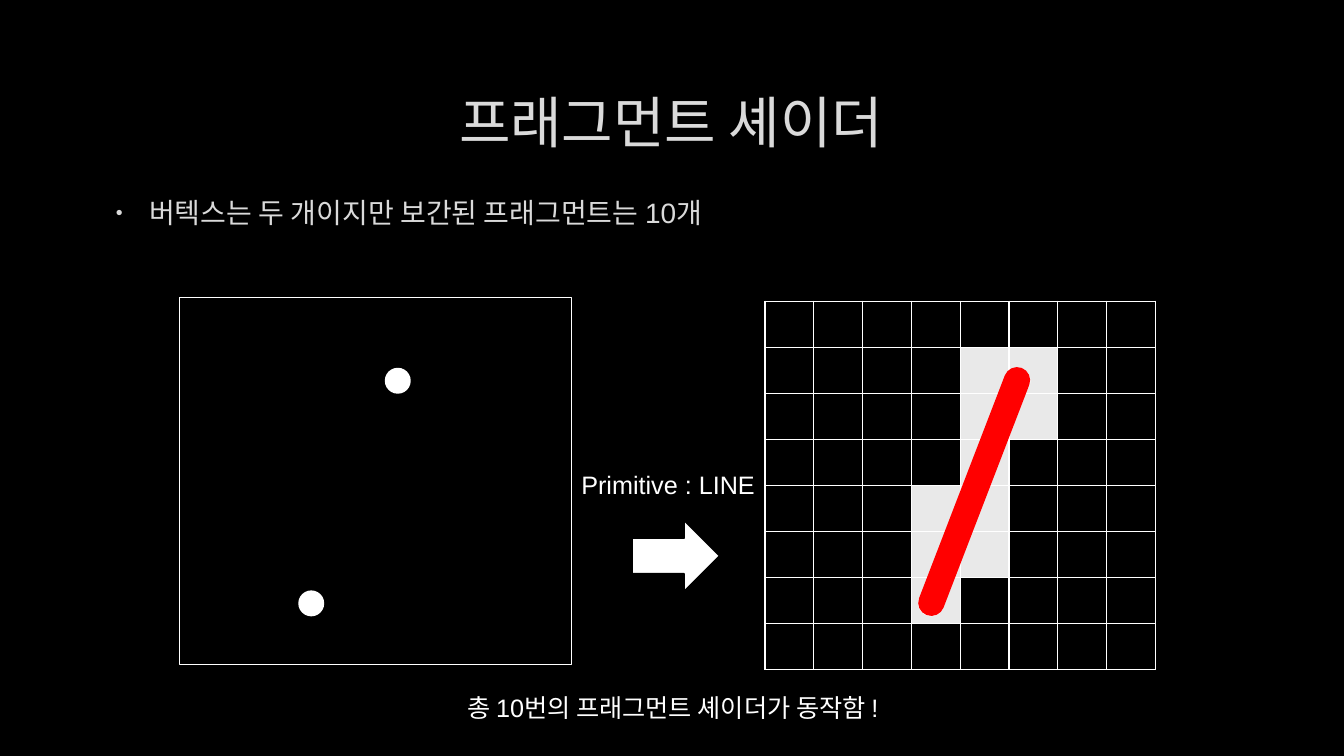
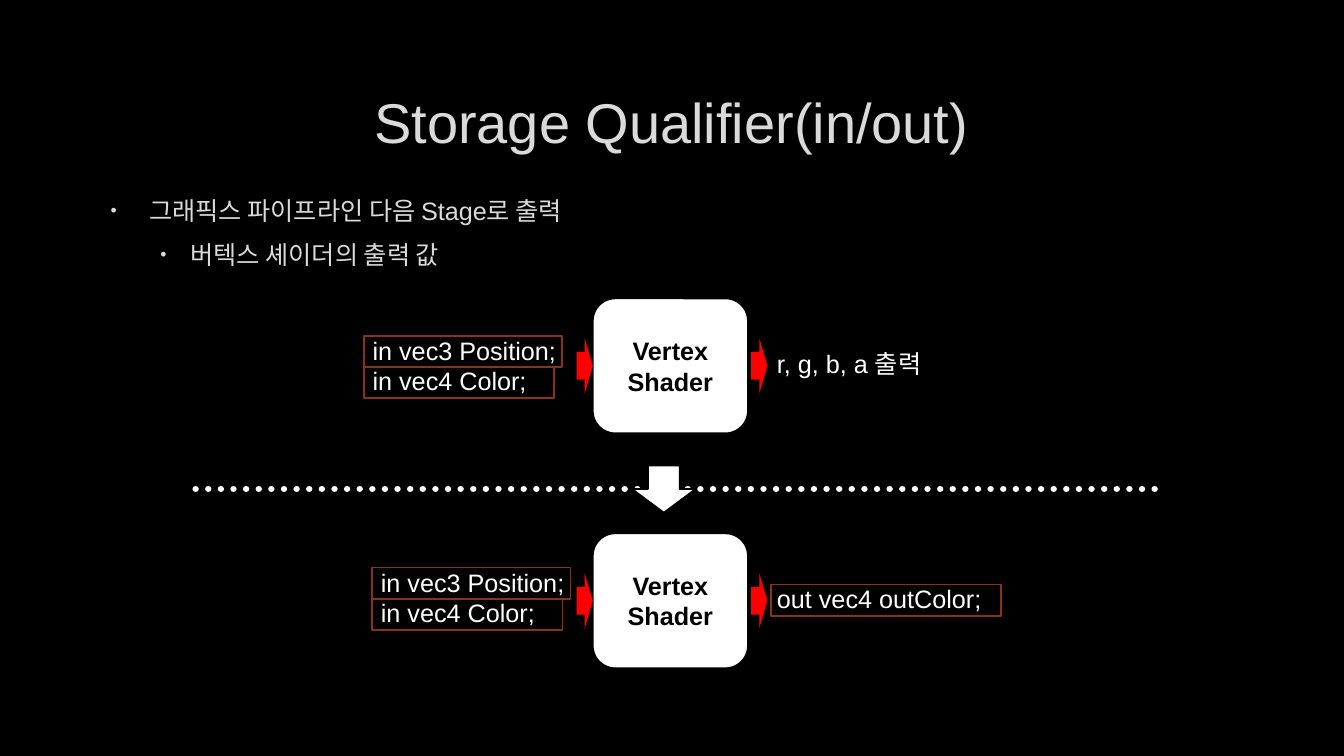
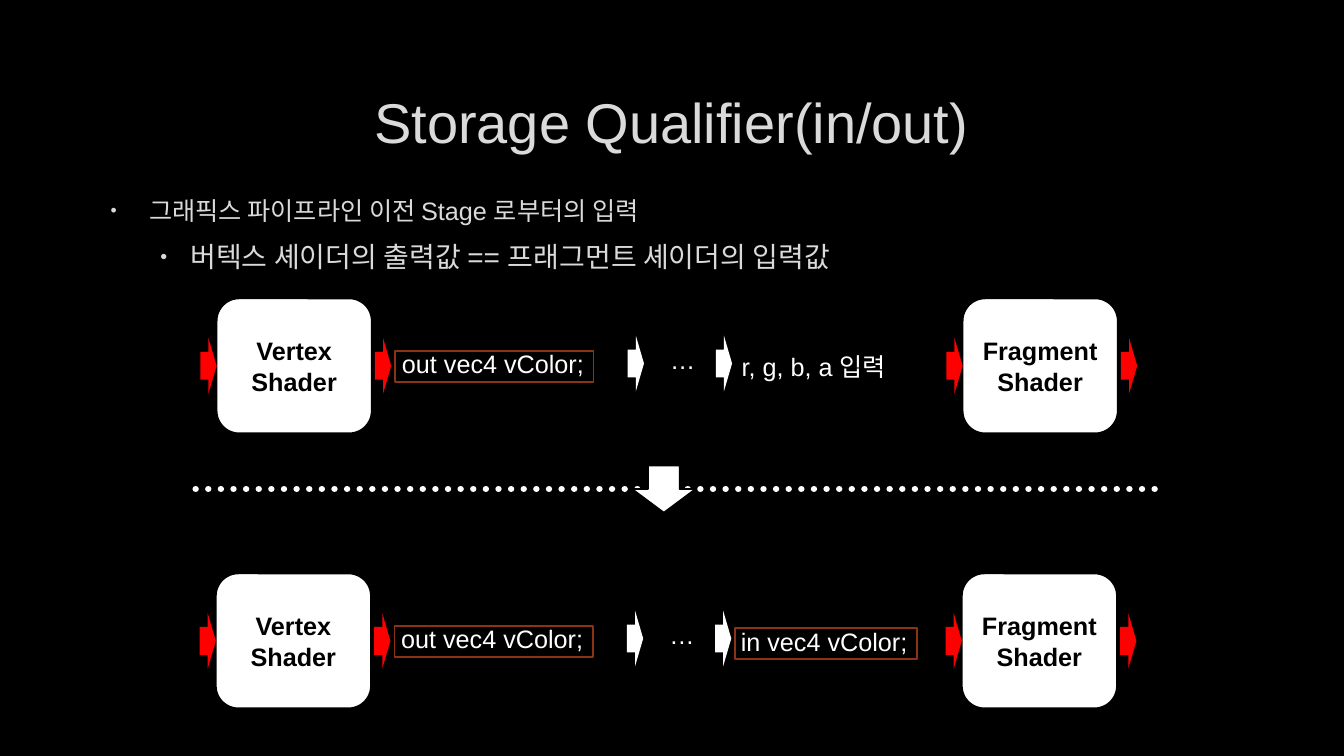
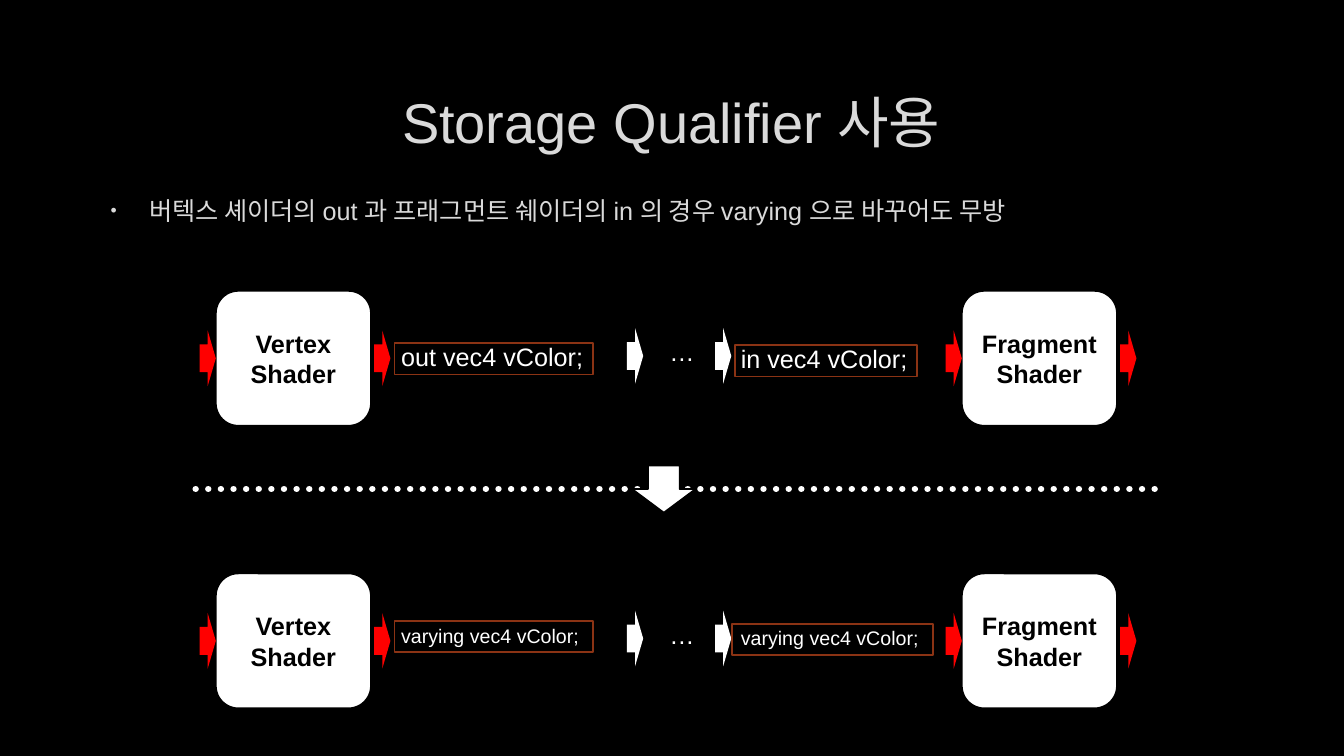
from lxml import etree
from pptx import Presentation
from pptx import util as u
from pptx.dml import color as clr
from pptx.enum import dml, shapes, text
from pptx.oxml import ns

FONT = "Arial"
BLACK, WHITE, SOFT, CELL, RED, RUST = "000000", "FFFFFF", "DADADA", "E9E9E9", "FF0000", "8B3314"
FRAME_H, LINE_H = 0.79, 1.02
LEVELS = {"item": (0.97, -0.84), "wide": (0.97, -0.97), "sub": (2.01, -0.76)}
SHAPE = shapes.MSO_SHAPE


def rgb(value):
    return clr.RGBColor.from_string(value)


def child(parent, tag, **attrs):
    return etree.SubElement(parent, ns.qn(tag), attrs)


def write(tf, words, size=18, color=WHITE, bold=False, align=text.PP_ALIGN.LEFT, level=None):
    p = tf.paragraphs[0] if not tf.text else tf.add_paragraph()
    p.alignment = align
    r = p.add_run()
    r.text = words
    r.font.name, r.font.size, r.font.bold = FONT, u.Pt(size), bold
    r.font.color.rgb = rgb(color)
    if level:
        p.space_before, p.space_after = u.Pt(size * 0.2), u.Pt(6)
        margin, indent = LEVELS[level]
        pPr = p._p.get_or_add_pPr()
        pPr.set("marL", str(u.Cm(margin)))
        pPr.set("indent", str(u.Cm(indent)))
        child(child(pPr, "a:buClr"), "a:srgbClr", val=SOFT)
        child(pPr, "a:buSzPct", val="70000")
        child(pPr, "a:buFont", typeface=FONT)
        child(pPr, "a:buChar", char="•")


class Deck:
    """Holds the shared style and the slide being built."""

    def __init__(self):
        self.prs = Presentation()
        self.prs.slide_width, self.prs.slide_height = u.Cm(33.87), u.Cm(19.05)
        fill = self.prs.slide_master.background.fill
        fill.solid()
        fill.fore_color.rgb = rgb(BLACK)
        self.s = None

    def slide(self, title, *items):
        self.s = self.prs.slides.add_slide(self.prs.slide_layouts[6])
        tf = self.box(2.54, 1.7, 28.75, 2.69)
        tf.vertical_anchor = text.MSO_ANCHOR.MIDDLE
        write(tf, title, size=40, color=SOFT, align=text.PP_ALIGN.CENTER)
        tf = self.box(2.54, 4.8, 28.75, 11.28)
        for words, size, level in items:
            write(tf, words, size=size, color=SOFT, level=level)

    def box(self, x, y, w, h, on=None):
        sp = (on or self.s.shapes).add_textbox(u.Cm(x), u.Cm(y), u.Cm(w), u.Cm(h))
        sp.text_frame.word_wrap = True
        return sp.text_frame

    def label(self, x, y, w, *lines, size=18, on=None):
        tf = self.box(x, y, w, LINE_H * len(lines), on)
        tf.auto_size = text.MSO_AUTO_SIZE.SHAPE_TO_FIT_TEXT
        for words in lines:
            write(tf, words, size=size)

    def shape(self, kind, x, y, w, h, fill=None, line=None, width=1.25, on=None):
        sp = (on or self.s.shapes).add_shape(kind, u.Cm(x), u.Cm(y), u.Cm(w), u.Cm(h))
        sp.shadow.inherit = False
        if fill:
            sp.fill.solid()
            sp.fill.fore_color.rgb = rgb(fill)
        else:
            sp.fill.background()
        if line:
            sp.line.color.rgb = rgb(line)
            sp.line.width = u.Pt(width)
        else:
            sp.line.fill.background()
        return sp

    def frame(self, x, y, w, on=None):
        self.shape(SHAPE.RECTANGLE, x, y, w, FRAME_H, line=RUST, on=on)

    def arrow(self, x, y, fill, on=None):
        self.shape(SHAPE.RIGHT_ARROW, x, y, 0.41, 1.4, fill=fill, on=on)

    def line(self, x1, y1, x2, y2, color, width, dash=None):
        c = self.s.shapes.add_connector(shapes.MSO_CONNECTOR.STRAIGHT,
                                        u.Cm(x1), u.Cm(y1), u.Cm(x2), u.Cm(y2))
        c.line.color.rgb = rgb(color)
        c.line.width = u.Pt(width)
        if dash:
            c.line.dash_style = dash
        c.line._get_or_add_ln().set("cap", "rnd")
        child(c.element.spPr, "a:effectLst")

    def divider(self):
        self.line(4.93, 12.32, 29.13, 12.32, WHITE, 4.5, dml.MSO_LINE.ROUND_DOT)
        self.shape(SHAPE.DOWN_ARROW, 15.93, 11.73, 1.6, 1.19, fill=WHITE, line=BLACK)

    def grid(self, x, y, col_w, row_h, rows):
        n = len(rows)
        tbl = self.s.shapes.add_table(n, n, u.Cm(x), u.Cm(y), u.Cm(col_w * n), u.Cm(row_h * n)).table
        tbl.first_row = tbl.horz_banding = False
        for col in tbl.columns:
            col.width = u.Cm(col_w)
        for i, marks in enumerate(rows):
            tbl.rows[i].height = u.Cm(row_h)
            for j, mark in enumerate(marks):
                self.cell(tbl.cell(i, j), mark == "#")

    def cell(self, cell, covered):
        tcPr = cell._tc.get_or_add_tcPr()
        for side in "LRTB":
            ln = child(tcPr, "a:ln" + side, w=str(u.Pt(1)))
            child(child(ln, "a:solidFill"), "a:srgbClr", val=WHITE)
        if covered:
            cell.fill.solid()
            cell.fill.fore_color.rgb = rgb(CELL)
        else:
            cell.fill.background()

    def stage(self, x, y, name):
        group = self.s.shapes.add_group_shape().shapes
        sp = self.shape(SHAPE.ROUNDED_RECTANGLE, x, y, 3.91, 3.4, fill=WHITE, line=BLACK, on=group)
        tf = sp.text_frame
        tf.word_wrap = True
        tf.vertical_anchor = text.MSO_ANCHOR.MIDDLE
        write(tf, name, color=BLACK, bold=True, align=text.PP_ALIGN.CENTER)
        for dx in (3.99, -0.41):
            self.arrow(x + dx, y + 1, RED, on=group)

    def inputs(self, x, y):
        group = self.s.shapes.add_group_shape().shapes
        self.label(x, y, 5.23, "in vec3 Position;", "in vec4 Color;", on=group)
        for i, w in enumerate((5, 4.8)):
            self.frame(x + 0.03, y + 0.13 + i * FRAME_H, w, on=group)

    def pipeline(self, x, y, sent, received, size=18, sent_dy=1.32, frame=(13.08, 1.37, 4.6)):
        self.stage(x, y, "Vertex Shader")
        self.stage(x + 18.8, y, "Fragment Shader")
        self.label(x + 4.42, y + 1.14, 6.43, sent, size=size)
        self.frame(x + 4.5, y + sent_dy, 5)
        self.label(x + 11.18, y + 1.02, 1.42, "…")
        for dx in (10.36, 12.58):
            self.arrow(x + dx, y + 0.94, WHITE)
        self.label(x + 12.98, y + 1.2, 5.41, received, size=size)
        if frame:
            dx, dy, w = frame
            self.frame(x + dx, y + dy, w)


def fragments(d):
    d.slide("프래그먼트 셰이더", ("버텍스는 두 개이지만 보간된 프래그먼트는 10개", 20, "item"))
    d.grid(19.28, 7.59, 1.23, 1.16, ["........", "....##..", "....##..", "....#...",
                                     "...##...", "...##...", "...#....", "........"])
    for left in (7.54, 23.16):
        for dx, y in ((0, 14.9), (2.18, 9.29)):
            d.shape(SHAPE.OVAL, left + dx, y, 0.61, 0.61, fill=WHITE, line=WHITE)
    d.shape(SHAPE.RECTANGLE, 4.52, 7.49, 9.88, 9.25, line=WHITE, width=1)
    d.label(14.4, 11.71, 4.93, "Primitive : LINE")
    d.shape(SHAPE.RIGHT_ARROW, 15.93, 13.11, 2.21, 1.8, fill=WHITE, line=BLACK)
    d.line(23.47, 15.19, 25.63, 9.58, RED, 18.75)
    d.label(11.53, 17.32, 12.6, "총 10번의 프래그먼트 셰이더가 동작함 !")


def stage_output(d):
    d.slide("Storage Qualifier(in/out)",
            ("그래픽스 파이프라인 다음 Stage로 출력", 18, "wide"),
            ("버텍스 셰이더의 출력 값", 18, "sub"))
    d.divider()
    for y, x_in, y_in, result in ((7.52, 9.14, 8.33, "r, g, b, a 출력"),
                                  (13.44, 9.35, 14.17, "out vec4 outColor;")):
        d.stage(14.94, y, "Vertex Shader")
        d.inputs(x_in, y_in)
        d.label(19.33, y + 1.13, 6.43, result)
    d.frame(19.43, 14.73, 5.79)


def stage_input(d):
    d.slide("Storage Qualifier(in/out)",
            ("그래픽스 파이프라인 이전 Stage 로부터의 입력", 18, "wide"),
            ("버텍스 셰이더의 출력값 == 프래그먼트 셰이더의 입력값", 20, "sub"))
    d.divider()
    d.pipeline(5.46, 7.52, "out vec4 vColor;", "r, g, b, a 입력", frame=None)
    d.pipeline(5.44, 14.45, "out vec4 vColor;", "in vec4 vColor;")


def varying(d):
    d.slide("Storage Qualifier 사용",
            ("버텍스 셰이더의 out 과 프래그먼트 쉐이더의 in 의 경우 varying 으로 바꾸어도 무방", 18, "wide"))
    d.divider()
    d.pipeline(5.44, 7.33, "out vec4 vColor;", "in vec4 vColor;")
    d.pipeline(5.44, 14.45, "varying vec4 vColor;", "varying vec4 vColor;",
               size=14, sent_dy=1.2, frame=(13, 1.27, 5.08))


def main():
    d = Deck()
    for build in (fragments, stage_output, stage_input, varying):
        build(d)
    d.prs.save("out.pptx")


if __name__ == "__main__":
    main()
